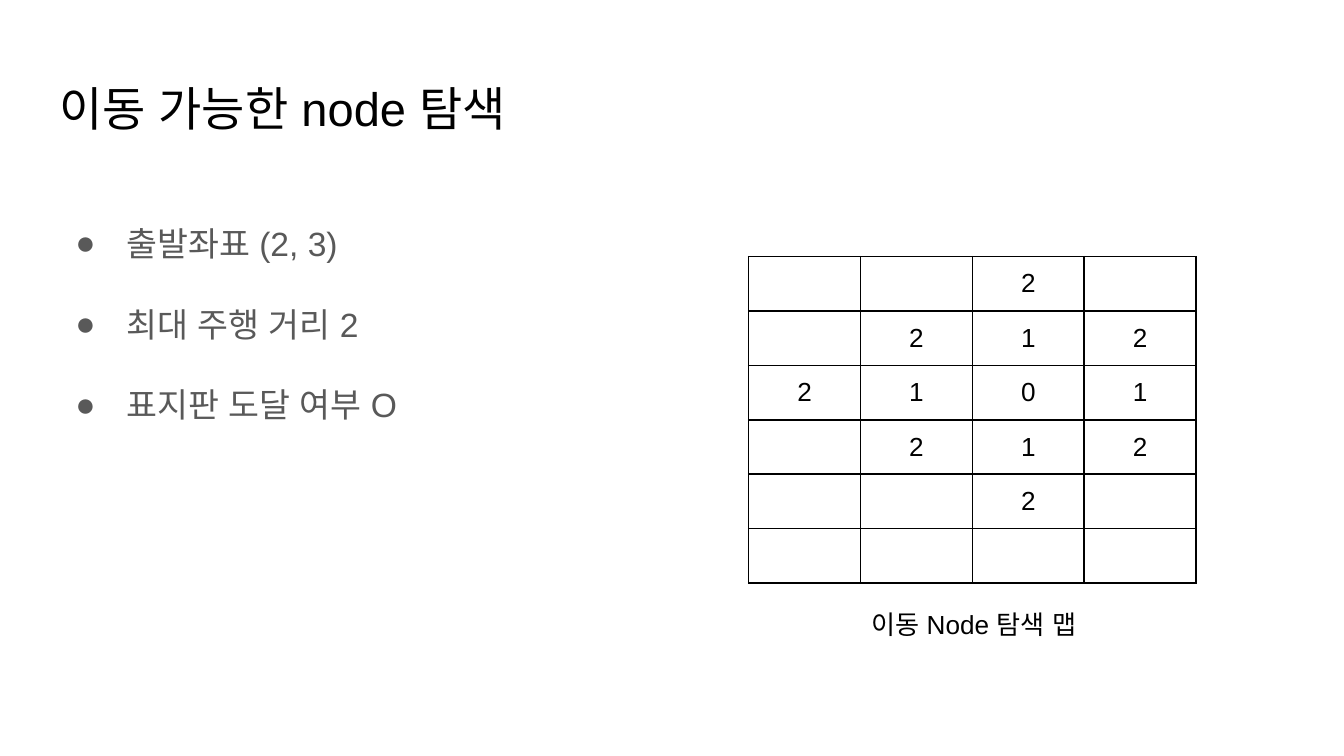
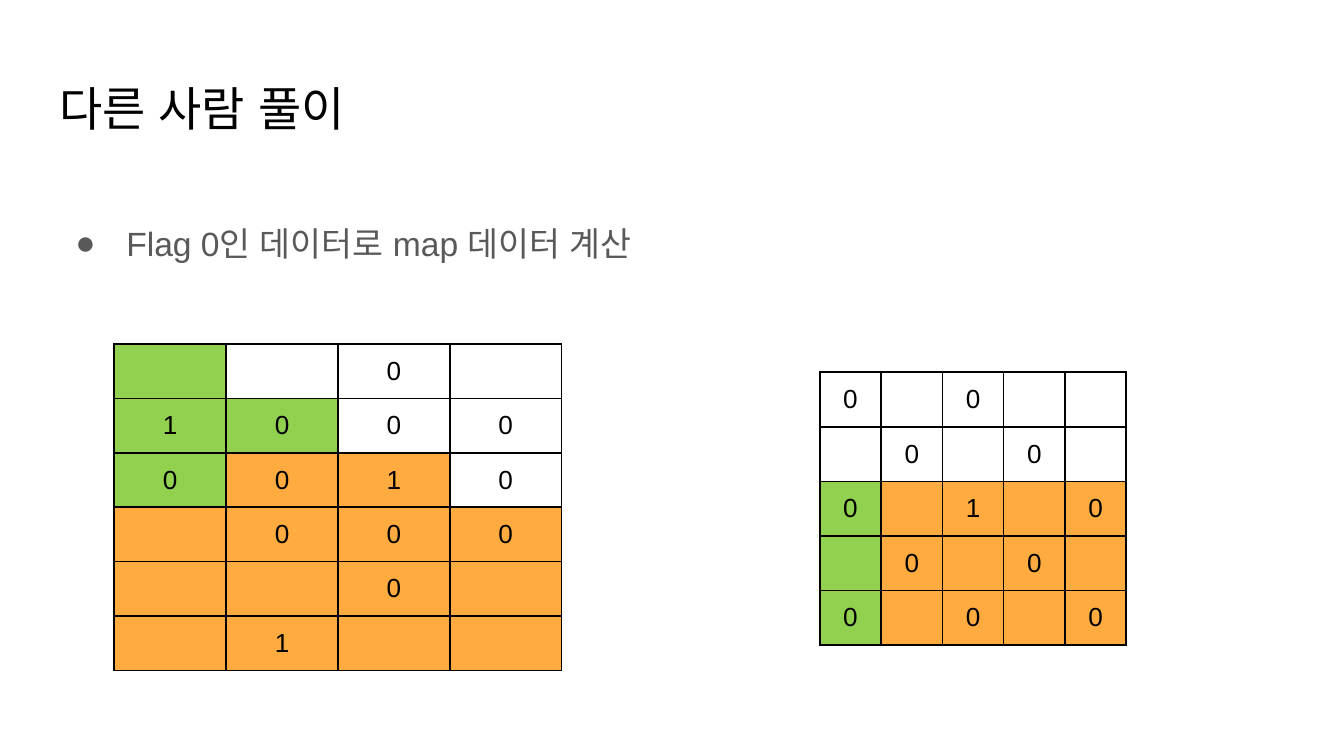
from lxml.etree import SubElement as Sub
from pptx import Presentation
from pptx.dml.color import RGBColor
from pptx.enum.text import MSO_ANCHOR as Anchor, MSO_AUTO_SIZE as Fit, PP_ALIGN as Align
from pptx.oxml.ns import qn
from pptx.util import Inches, Pt

BLACK = RGBColor(0, 0, 0)
GRAY = RGBColor(0x59, 0x59, 0x59)
WHITE = RGBColor(0xFF, 0xFF, 0xFF)
GREEN = RGBColor(0x92, 0xD0, 0x50)
AMBER = RGBColor(0xFF, 0xAB, 0x40)
FILLS = {"W": WHITE, "G": GREEN, "A": AMBER}


class Deck:
    """Holds the shared style and the current slide."""

    face = "Arial"
    small = 14

    def __init__(self):
        self.show = Presentation()
        self.show.slide_width = Inches(10)
        self.show.slide_height = Inches(10) * 9 // 16

    def style(self, para, size, color, align=Align.LEFT):
        para.alignment = align
        para.space_before = Pt(0)
        font = para.font
        font.name, font.size, font.color.rgb = self.face, Pt(size), color
        Sub(font._rPr, qn("a:ea"), typeface=self.face)

    def place(self, shape, top, height):
        shape.left, shape.top = Inches(0.34), Inches(top)
        shape.width, shape.height = Inches(9.32), Inches(height)
        frame = shape.text_frame
        frame.margin_left = frame.margin_right = Inches(0.1)
        frame.margin_top = frame.margin_bottom = Inches(0.1)
        frame.vertical_anchor = Anchor.TOP
        frame.word_wrap = True
        frame.auto_size = Fit.NONE
        return frame

    def slide(self, title, items):
        self.page = self.show.slides.add_slide(self.show.slide_layouts[1])
        head = self.place(self.page.shapes.title, 0.49, 0.63)
        head.text = title
        self.style(head.paragraphs[0], 25.2, BLACK)
        self.list(items)

    def list(self, items):
        frame = self.place(self.page.placeholders[1], 1.26, 3.74)
        frame._txBody.bodyPr.set("numCol", "2")
        frame.text = "\n".join(items)
        for para in frame.paragraphs:
            prop = para._p.get_or_add_pPr()
            prop.set("marL", str(Inches(0.5)))
            prop.set("indent", str(Inches(-0.38)))
            para.line_spacing = 2.0
            tint = Sub(prop, qn("a:buClr"))
            Sub(tint, qn("a:srgbClr"), val=str(GRAY))
            Sub(prop, qn("a:buFont"), typeface=self.face)
            Sub(prop, qn("a:buChar"), char="●")
            self.style(para, 18, GRAY)

    def border(self, cell):
        prop = cell._tc.get_or_add_tcPr()
        for side in ("lnL", "lnR", "lnT", "lnB"):
            line = Sub(prop, qn(f"a:{side}"), w=str(Pt(1)))
            fill = Sub(line, qn("a:solidFill"))
            Sub(fill, qn("a:srgbClr"), val=str(BLACK))

    def grid(self, left, top, width, height, rows, fills=None):
        count, span = len(rows), len(rows[0])
        table = self.page.shapes.add_table(
            count, span, Inches(left), Inches(top), Inches(width), Inches(height)
        ).table
        table.first_row = table.horz_banding = False
        fills = fills or ["W" * span] * count
        for r, (marks, tints) in enumerate(zip(rows, fills)):
            for c, (mark, tint) in enumerate(zip(marks, tints)):
                cell = table.cell(r, c)
                self.border(cell)
                cell.fill.solid()
                cell.fill.fore_color.rgb = FILLS[tint]
                cell.vertical_anchor = Anchor.MIDDLE
                cell.text = mark.strip(".")
                self.style(cell.text_frame.paragraphs[0], self.small, BLACK, Align.CENTER)

    def label(self, text, left, top, width, height):
        box = self.page.shapes.add_textbox(
            Inches(left), Inches(top), Inches(width), Inches(height)
        )
        frame = box.text_frame
        frame.word_wrap = True
        frame.auto_size = Fit.SHAPE_TO_FIT_TEXT
        frame.text = text
        self.style(frame.paragraphs[0], self.small, BLACK, Align.CENTER)


def main():
    deck = Deck()

    deck.slide("이동 가능한 node 탐색", ["출발좌표 (2, 3)", "최대 주행 거리 2", "표지판 도달 여부 O"])
    deck.grid(5.57, 1.91, 3.33, 2.43, ["..2.", ".212", "2101", ".212", "..2.", "...."])
    deck.label("이동 Node 탐색 맵", 5.75, 4.48, 2.99, 0.34)

    deck.slide("다른 사람 풀이", ["Flag 0인 데이터로 map 데이터 계산"])
    deck.grid(
        6.1, 2.77, 2.28, 2.03,
        ["0.0..", ".0.0.", "0.1.0", ".0.0.", "0.0.0"],
        ["WWWWW", "WWWWW", "GAAAA", "GAAAA", "GAAAA"],
    )
    deck.grid(
        0.85, 2.56, 3.33, 2.43,
        ["..0.", "1000", "0010", ".000", "..0.", ".1.."],
        ["GWWW", "GGWW", "GAAW", "AAAA", "AAAA", "AAAA"],
    )

    deck.show.save("out.pptx")


if __name__ == "__main__":
    main()
